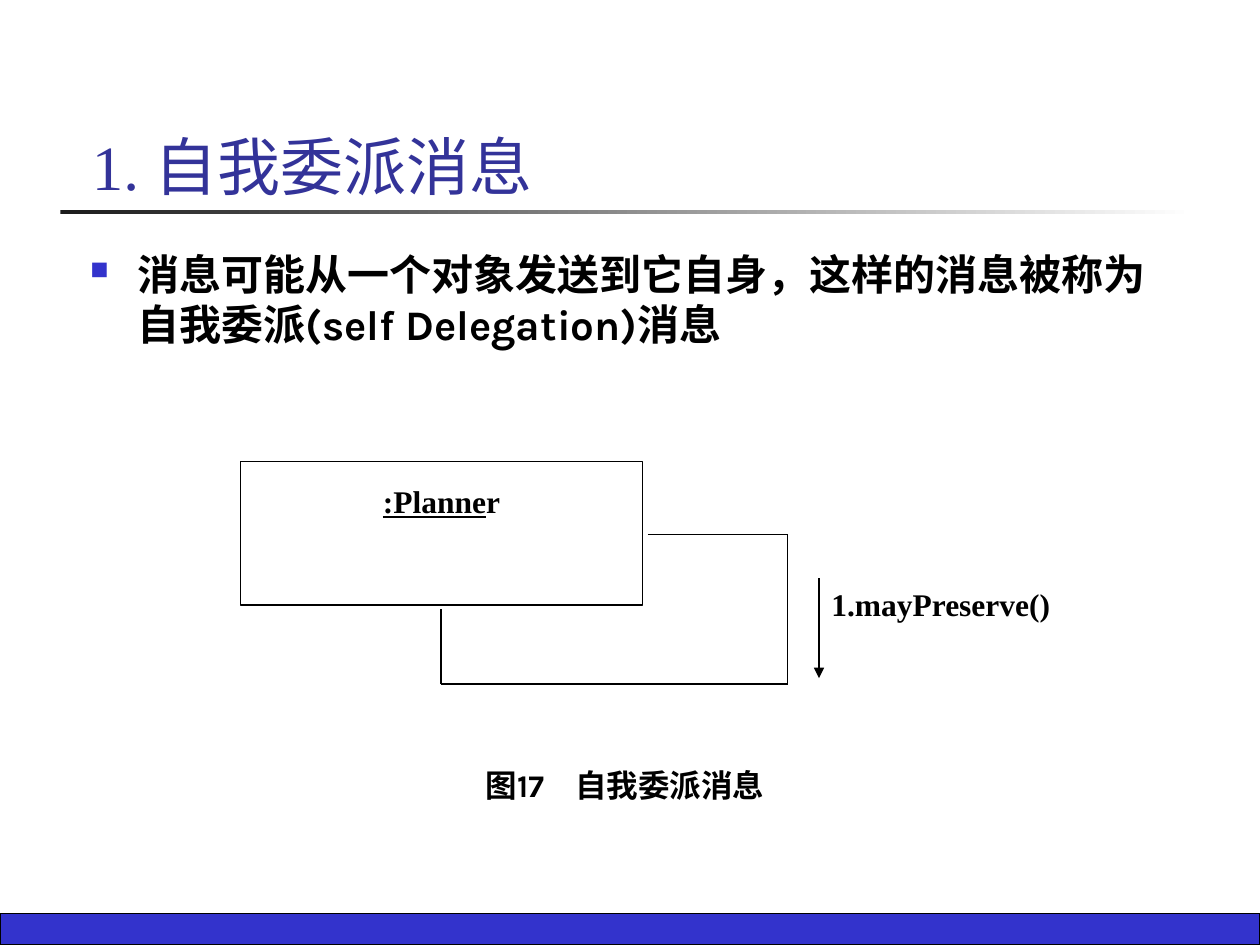
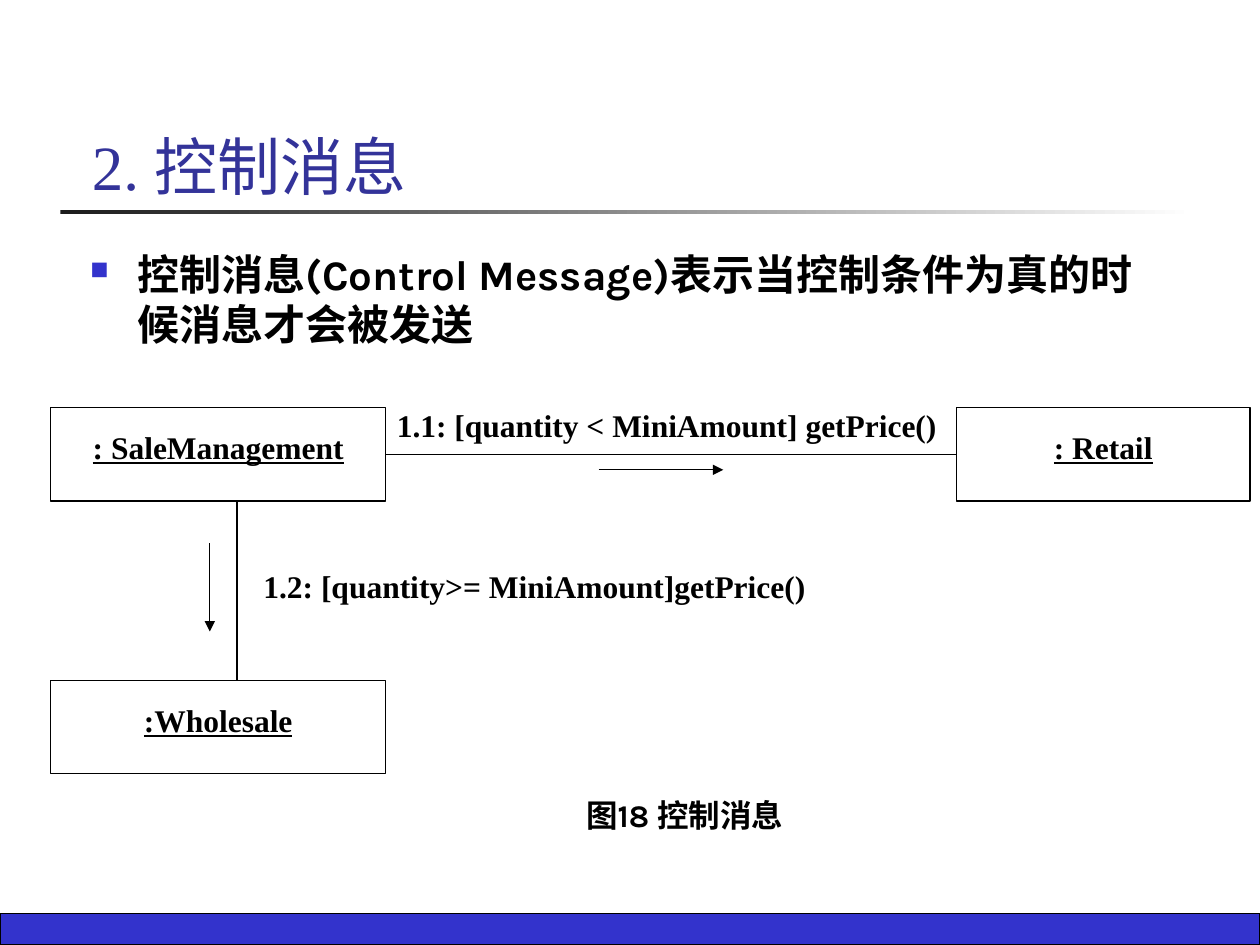
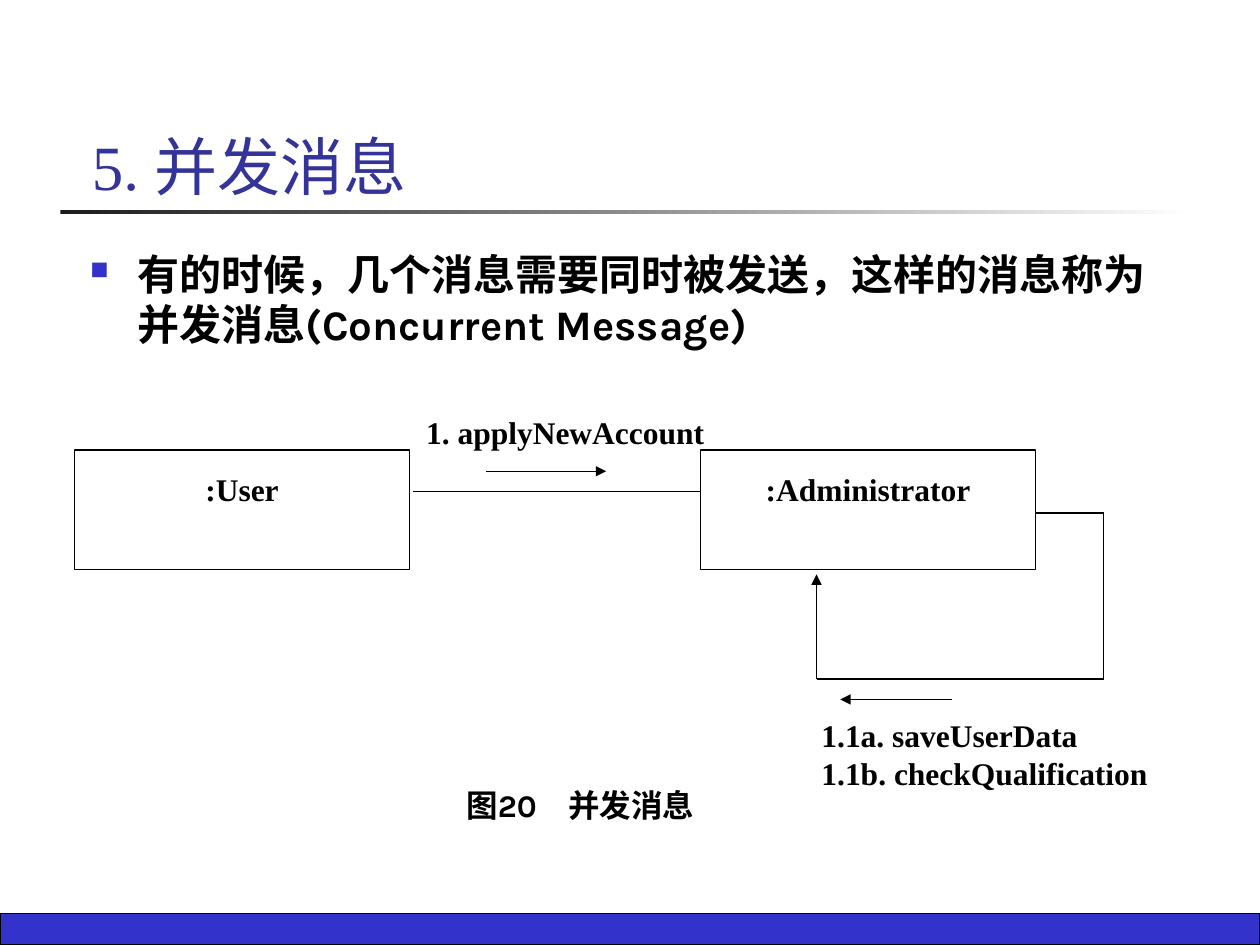
import pptx
import pptx.dml.color
import pptx.enum.shapes
import pptx.enum.text
import pptx.oxml.ns
import pptx.oxml.xmlchemy
import pptx.util
from lxml import etree

Cm = pptx.util.Cm
Pt = pptx.util.Pt
PP_ALIGN = pptx.enum.text.PP_ALIGN
MSO_ANCHOR = pptx.enum.text.MSO_ANCHOR
qn = pptx.oxml.ns.qn


def rgb(color):
    return pptx.dml.color.RGBColor.from_string(color)


def add_xml(parent, tag, **attrs):
    return etree.SubElement(parent, qn(tag), attrs)


class Deck:
    """Holds the shared style and the slide being built."""

    SERIF, SANS = "Times New Roman", "Karla"
    BLACK, WHITE, BLUE, NAVY, DARK = "000000", "FFFFFF", "3333CC", "333399", "1C1C1C"

    def __init__(self):
        self.prs = pptx.Presentation()
        self.prs.slide_width, self.prs.slide_height = Cm(25.4), Cm(19.05)
        self.s = None

    def slide(self, title, body):
        first = self.s is None
        self.s = self.prs.slides.add_slide(self.prs.slide_layouts[5])
        if first:
            self.master_bands()
        sp = self.s.shapes.title
        sp.left, sp.top, sp.width, sp.height = map(Cm, (1.6, 0.84, 22.23, 3.38))
        tf = sp.text_frame
        tf.text = title
        tf.vertical_anchor = MSO_ANCHOR.BOTTOM
        tf.auto_size = pptx.enum.text.MSO_AUTO_SIZE.NONE
        self.style(tf, 36, self.SERIF, PP_ALIGN.LEFT, self.NAVY, bold=False)
        self.bullet(body)

    def master_bands(self):
        band = self.rect(0, 18.42, 25.4, 0.63, self.BLUE)
        rule = self.rect(1.22, 4.24, 22.86, 0.08, self.WHITE)
        rule.line.fill.background()
        rule.fill.gradient()
        rule.fill.gradient_angle = 0
        for stop, color in zip(rule.fill.gradient_stops, (self.DARK, self.WHITE)):
            stop.color.rgb = rgb(color)
        for sp in (band, rule):
            self.prs.slide_master.shapes.element.append(sp.element)

    def style(self, tf, size, font, align, color=BLACK, bold=True):
        for p in tf.paragraphs:
            p.alignment = align
            for r in p.runs:
                r.font.size = Pt(size)
                r.font.name = font
                r.font.bold = bold
                r.font.color.rgb = rgb(color)

    def rect(self, x, y, w, h, fill):
        sp = self.s.shapes.add_shape(
            pptx.enum.shapes.MSO_SHAPE.RECTANGLE, Cm(x), Cm(y), Cm(w), Cm(h))
        sp.shadow.inherit = False
        sp.fill.solid()
        sp.fill.fore_color.rgb = rgb(fill)
        sp.line.color.rgb = rgb(self.BLACK)
        sp.line.width = Pt(0.75)
        return sp

    def textbox(self, x, y, w, h, text):
        tf = self.s.shapes.add_textbox(Cm(x), Cm(y), Cm(w), Cm(h)).text_frame
        tf.word_wrap = True
        tf.text = text
        return tf

    def bullet(self, text):
        tf = self.textbox(1.57, 4.88, 22.23, 11.86, text)
        pPr = tf.paragraphs[0]._p.get_or_add_pPr()
        pPr.set("marL", str(Cm(0.95)))
        pPr.set("indent", str(Cm(-0.95)))
        add_xml(add_xml(pPr, "a:buClr"), "a:srgbClr", val=self.BLUE)
        add_xml(pPr, "a:buSzPct", val="60000")
        add_xml(pPr, "a:buChar", char="■")
        self.style(tf, 24, self.SANS, PP_ALIGN.LEFT)

    def box(self, x, y, w, h, underlined="", plain=""):
        sp = self.rect(x, y, w, h, self.WHITE)
        tf = sp.text_frame
        tf.margin_top = Cm(0.41)
        tf.vertical_anchor = MSO_ANCHOR.TOP
        p = tf.paragraphs[0]
        for text, underline in ((underlined, True), (plain, False)):
            if text:
                r = p.add_run()
                r.text = text
                r.font.underline = underline
        self.style(tf, 18, self.SERIF, PP_ALIGN.CENTER)
        return sp

    def label(self, x, y, w, h, text):
        tf = self.textbox(x, y, w, h, text)
        tf.margin_left = tf.margin_top = tf.margin_right = tf.margin_bottom = 0
        self.style(tf, 18, self.SERIF, PP_ALIGN.JUSTIFY)

    def caption(self, x, y, w, text):
        tf = self.textbox(x, y, w, 1.02, text)
        tf.auto_size = pptx.enum.text.MSO_AUTO_SIZE.SHAPE_TO_FIT_TEXT
        self.style(tf, 18, self.SANS, PP_ALIGN.CENTER)

    def line(self, start, end, arrow=False):
        c = self.s.shapes.add_connector(
            pptx.enum.shapes.MSO_CONNECTOR.STRAIGHT, *map(Cm, start + end))
        c.line.color.rgb = rgb(self.BLACK)
        c.line.width = Pt(0.75)
        spPr = c.element.spPr
        if arrow:
            add_xml(spPr.find(qn("a:ln")), "a:tailEnd", type="triangle")
        add_xml(spPr, "a:effectLst")
        return c

    def route(self, *points, arrow=False):
        for i in range(1, len(points)):
            self.line(points[i - 1], points[i], arrow and i == len(points) - 1)


def self_delegation(d):
    d.slide("1. 自我委派消息",
            "消息可能从一个对象发送到它自身，这样的消息被称为自我委派(self Delegation)消息")
    d.box(4.85, 9.3, 8.1, 2.9, ":Planne", "r")
    d.route((13.06, 10.77), (15.88, 10.77), (15.88, 13.79), (8.89, 13.79), (8.89, 12.27))
    d.line((16.51, 11.66), (16.51, 13.67), arrow=True)
    d.label(16.76, 11.79, 5.77, 1.5, "1.mayPreserve()")
    d.caption(7.9, 15.32, 9.4, "图17　自我委派消息")


def control_message(d):
    d.slide("2. 控制消息",
            "控制消息(Control Message)表示当控制条件为真的时候消息才会被发送")
    sale = d.box(1.02, 8.22, 6.76, 1.88, ": SaleManagement")
    retail = d.box(19.28, 8.22, 5.92, 1.88, ": Retail")
    d.box(1.02, 13.72, 6.76, 1.88, ":Wholesale")
    c = d.line((7.78, 9.16), (19.28, 9.16))
    c.begin_connect(sale, 3)
    c.end_connect(retail, 1)
    d.line((4.78, 10.1), (4.78, 13.72))
    d.label(8, 8.18, 11.28, 0.99, "1.1: [quantity < MiniAmount] getPrice()")
    d.label(5.31, 11.43, 11.28, 0.99, "1.2: [quantity>= MiniAmount]getPrice()")
    d.line((12.07, 9.47), (14.58, 9.47), arrow=True)
    d.line((4.23, 10.95), (4.23, 12.73), arrow=True)
    d.caption(9.5, 15.93, 8.61, "图18 控制消息")


def concurrent_message(d):
    d.slide("5. 并发消息",
            "有的时候，几个消息需要同时被发送，这样的消息称为并发消息(Concurrent Message)")
    for x, name in ((1.5, ":User"), (14.12, ":Administrator")):
        d.box(x, 9.07, 6.76, 2.41, plain=name)
    d.line((8.33, 9.91), (14.12, 9.91))
    d.line((9.8, 9.5), (12.22, 9.5), arrow=True)
    d.label(8.59, 8.33, 8.13, 0.76, "1. applyNewAccount")
    d.label(16.56, 14.43, 7.16, 2.08, "1.1a. saveUserData\n1.1b. checkQualification")
    d.route((20.88, 10.34), (22.25, 10.34), (22.25, 13.69), (16.46, 13.69), (16.46, 11.58),
            arrow=True)
    d.line((19.2, 14.1), (16.94, 14.1), arrow=True)
    d.caption(7.7, 15.72, 8, "图20　并发消息")


def main():
    d = Deck()
    for build in (self_delegation, control_message, concurrent_message):
        build(d)
    d.prs.save("out.pptx")


if __name__ == "__main__":
    main()
